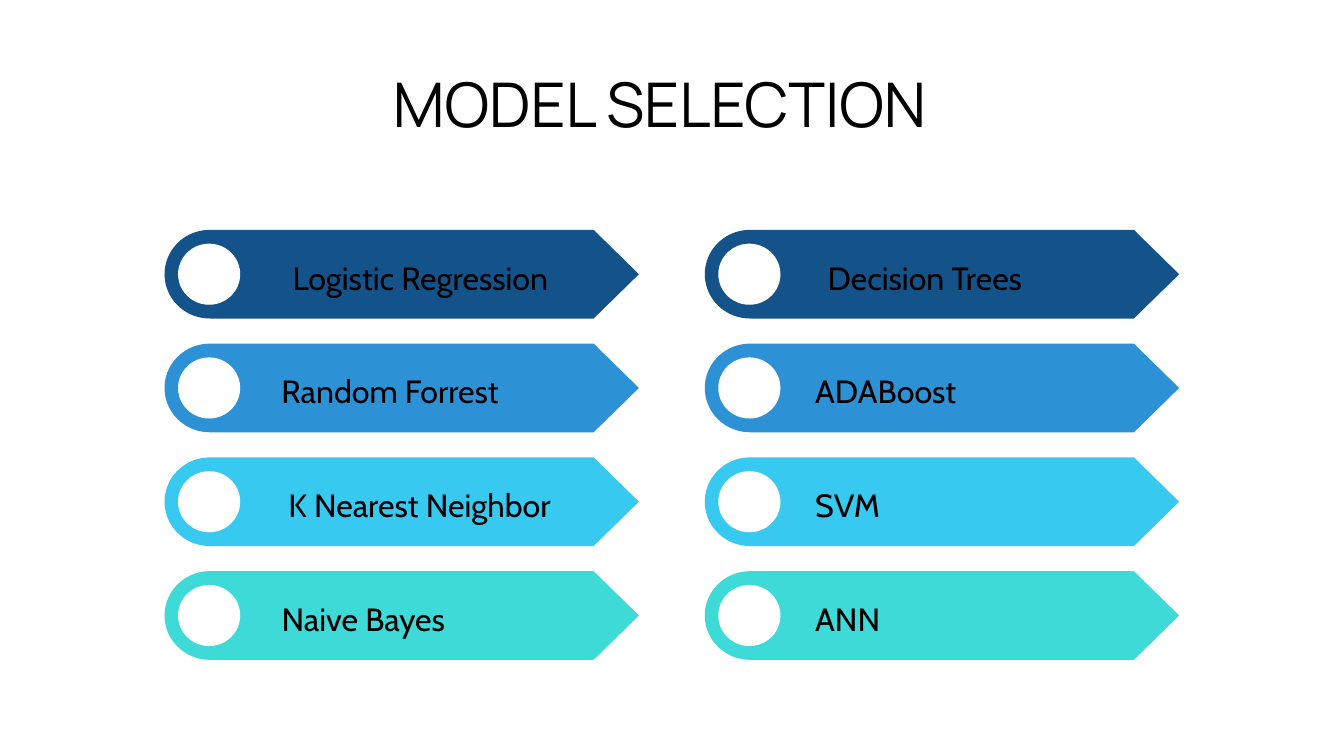
import math
from dataclasses import dataclass

import pptx
import pptx.dml.color
import pptx.enum.shapes
import pptx.enum.text
import pptx.util

Cm = pptx.util.Cm
Pt = pptx.util.Pt
Align = pptx.enum.text.PP_ALIGN


@dataclass(frozen=True)
class Theme:
    row_colours: tuple = ("13538A", "2C92D5", "37C9EF", "3EDAD8")
    paper: str = "FFFFFF"
    ink: str = "000000"
    title_font: str = "Manrope"
    label_font: str = "Cabin"
    title_size: float = 66
    label_size: float = 34.4
    line_ratio: float = 1.4


@dataclass(frozen=True)
class Model:
    name: str
    column: int
    row: int
    label_left: float
    label_width: float = 11.56
    align: Align = Align.CENTER


THEME = Theme()

MODELS = (
    Model("Logistic Regression", 0, 0, 10.11),
    Model("Random Forrest", 0, 1, 8.97),
    Model("K Nearest Neighbor", 0, 2, 9.42, label_width=12.88),
    Model("Naive Bayes", 0, 3, 7.95),
    Model("Decision Trees", 1, 0, 29.18),
    Model("ADABoost", 1, 1, 30.81, align=Align.LEFT),
    Model("SVM", 1, 2, 30.81, align=Align.LEFT),
    Model("ANN", 1, 3, 30.81, align=Align.LEFT),
)

# Grid of arrows, in centimetres
GRID_LEFT, GRID_TOP = 6.22, 8.69
COLUMN_PITCH, ROW_PITCH = 20.42, 4.3
ARROW_WIDTH, ARROW_HEIGHT = 17.93, 3.35
END_WIDTH = 1.71
ARC_STEPS = 40


def write_text(frame, text: str, *, font: str, size: float,
               align: Align = Align.CENTER) -> None:
    frame.margin_left = frame.margin_right = 0
    frame.margin_top = frame.margin_bottom = 0
    frame.word_wrap = True
    frame.auto_size = pptx.enum.text.MSO_AUTO_SIZE.NONE
    frame.vertical_anchor = pptx.enum.text.MSO_ANCHOR.TOP
    paragraph = frame.paragraphs[0]
    paragraph.alignment = align
    paragraph.line_spacing = Pt(round(size * THEME.line_ratio, 1))
    run = paragraph.add_run()
    run.text = text
    run.font.name = font
    run.font.size = Pt(size)
    run.font.color.rgb = pptx.dml.color.RGBColor.from_string(THEME.ink)


def paint(shape, colour: str) -> None:
    shape.shadow.inherit = False
    shape.fill.solid()
    shape.fill.fore_color.rgb = pptx.dml.color.RGBColor.from_string(colour)
    shape.line.fill.background()


def draw_arrow(slide, left: float, top: float, colour: str) -> None:
    """Bar with a round left end and a pointed right end."""
    right, middle = left + ARROW_WIDTH, top + ARROW_HEIGHT / 2
    angles = [math.pi * step / ARC_STEPS for step in range(ARC_STEPS + 1)]
    outline = [(left + END_WIDTH * (1 - math.sin(angle)),
                middle - ARROW_HEIGHT / 2 * math.cos(angle)) for angle in angles]
    outline += [(right - END_WIDTH, top + ARROW_HEIGHT), (right, middle),
                (right - END_WIDTH, top)]
    points = [(Cm(x), Cm(y)) for x, y in outline]
    builder = slide.shapes.build_freeform(*points[0])
    builder.add_line_segments(points[1:], close=True)
    paint(builder.convert_to_shape(), colour)


def draw_model(slide, model: Model) -> None:
    left = GRID_LEFT + model.column * COLUMN_PITCH
    top = GRID_TOP + model.row * ROW_PITCH
    draw_arrow(slide, left, top, THEME.row_colours[model.row])
    dot = slide.shapes.add_shape(pptx.enum.shapes.MSO_SHAPE.OVAL,
                                 Cm(left + 0.51), Cm(top + 0.52), Cm(2.35), Cm(2.31))
    paint(dot, THEME.paper)
    label = slide.shapes.add_textbox(Cm(model.label_left), Cm(top + 0.82),
                                     Cm(model.label_width), Cm(1.6))
    write_text(label.text_frame, model.name, font=THEME.label_font,
               size=THEME.label_size, align=model.align)


def main() -> None:
    deck = pptx.Presentation()
    deck.slide_width, deck.slide_height = Cm(50.8), Cm(28.575)
    slide = deck.slides.add_slide(deck.slide_layouts.get_by_name("Title Only"))

    # Heading
    title = slide.shapes.title
    title.left, title.top = Cm(14.05), Cm(2.03)
    title.width, title.height = Cm(21.77), Cm(3.15)
    write_text(title.text_frame, "MODEL SELECTION",
               font=THEME.title_font, size=THEME.title_size)

    # Two columns of models
    for model in MODELS:
        draw_model(slide, model)

    deck.save("out.pptx")


if __name__ == "__main__":
    main()
